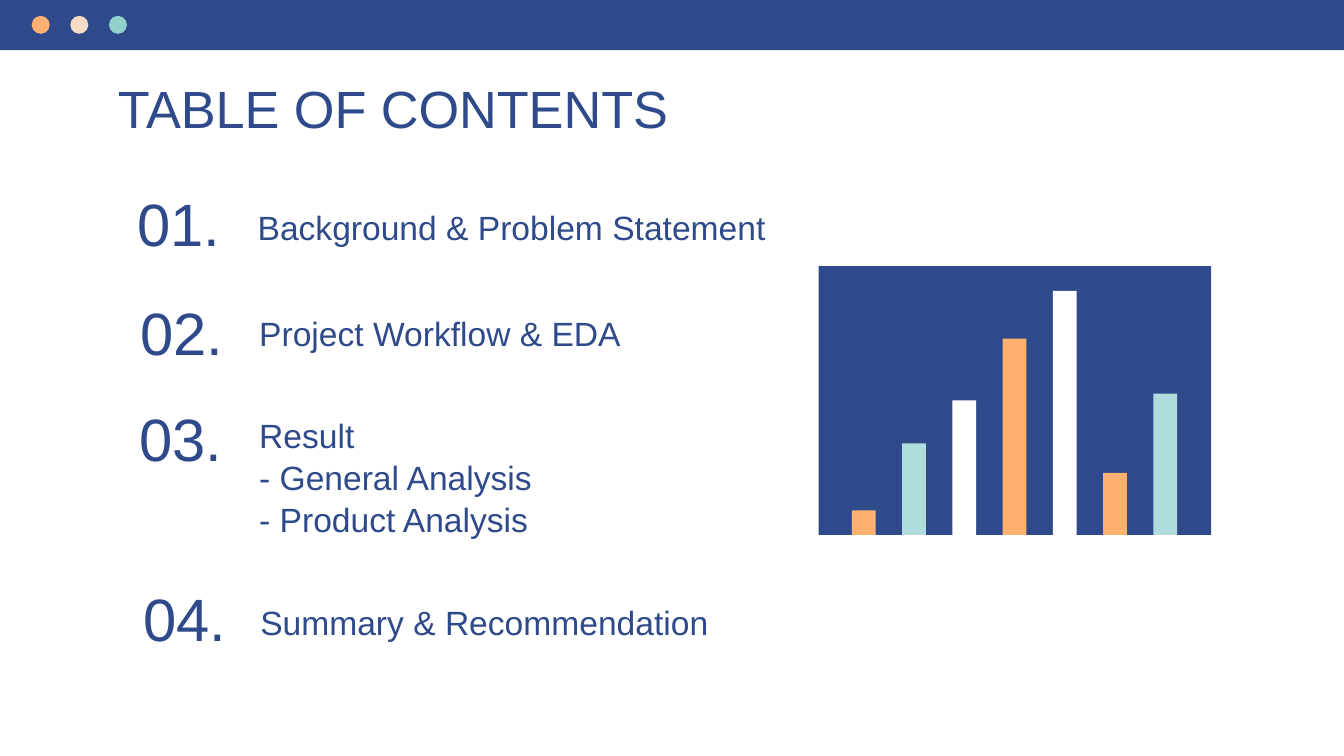
from pptx import Presentation
from pptx import util as u
from pptx.dml.color import RGBColor
from pptx.enum import shapes, text

NAVY, ORANGE, CREAM = "2F4A8A", "FFB172", "F8DBC4"
TEAL, AQUA, WHITE = "90D1CB", "AFDCDD", "FFFFFF"
RECT = shapes.MSO_SHAPE.RECTANGLE
OVAL = shapes.MSO_SHAPE.OVAL
LEFT, MID = text.PP_ALIGN.LEFT, text.PP_ALIGN.CENTER
TOP, BASE = text.MSO_ANCHOR.TOP, text.MSO_ANCHOR.BOTTOM

# number left and top; entry left, top, width and height; lines (all cm)
ITEMS = [
    ("01.", 2.13, 3.51, (4.62, 3.66, 13.16, 1.3),
     ["Background & Problem Statement"]),
    ("02.", 2.18, 5.56, (4.65, 5.66, 10.52, 1.3),
     ["Project Workflow & EDA"]),
    ("03.", 2.16, 7.57, (4.65, 7.57, 8.81, 3.4),
     ["Result", "- General Analysis", "- Product Analysis"]),
    ("04.", 2.24, 10.97, (4.67, 11.13, 10.24, 1.3),
     ["Summary & Recommendation"]),
]
BARS = [(0.46, ORANGE), (1.73, AQUA), (2.54, WHITE), (3.71, ORANGE),
        (4.61, WHITE), (1.17, ORANGE), (2.67, AQUA)]


def color(code):
    return RGBColor.from_string(code)


def place(shape, box):
    shape.left, shape.top, shape.width, shape.height = map(u.Cm, box)


def write(shape, lines, size, align=LEFT, anchor=TOP):
    """Fill a text shape with one paragraph, its lines split by breaks."""
    frame = shape.text_frame
    frame.word_wrap = True
    frame.auto_size = text.MSO_AUTO_SIZE.NONE
    frame.vertical_anchor = anchor
    frame.margin_left = frame.margin_right = u.Cm(0.25)
    frame.margin_top = frame.margin_bottom = u.Cm(0.25)
    para = frame.paragraphs[0]
    para.alignment = align
    if len(lines) > 1:
        para.line_spacing = 1.04
    for i, line in enumerate(lines):
        if i:
            para.add_line_break()
        run = para.add_run()
        run.text = line
        run.font.name = "Arial"
        run.font.size = u.Pt(size)
        run.font.color.rgb = color(NAVY)


def label(slide, box, *style):
    write(slide.shapes.add_textbox(*map(u.Cm, box)), *style)


def block(group, kind, box, fill):
    shape = group.shapes.add_shape(kind, *map(u.Cm, box))
    shape.shadow.inherit = False
    shape.fill.solid()
    shape.fill.fore_color.rgb = color(fill)
    shape.line.fill.background()


def header(slide):
    group = slide.shapes.add_group_shape()
    block(group, RECT, (0, 0, 25.4, 0.95), NAVY)
    for i, fill in enumerate([ORANGE, CREAM, TEAL]):
        block(group, OVAL, (0.6 + 0.73 * i, 0.3, 0.34, 0.34), fill)


def graph(slide):
    """Draw the decorative bars, all standing on the panel's lower edge."""
    group = slide.shapes.add_group_shape()
    top, tall = 5.03, 5.08
    block(group, RECT, (15.47, top, 7.42, tall), NAVY)
    for i, (high, fill) in enumerate(BARS):
        block(group, RECT,
              (16.1 + 0.95 * i, top + tall - high, 0.45, high), fill)


def main():
    deck = Presentation()
    deck.slide_width, deck.slide_height = u.Cm(25.4), u.Cm(14.29)
    slide = deck.slides.add_slide(deck.slide_layouts[5])
    title = slide.shapes.title
    place(title, (1.98, 1.19, 21.44, 1.3))
    write(title, ["TABLE OF CONTENTS"], 28)
    for num, left, top, box, lines in ITEMS:
        label(slide, box, lines, 18)
        label(slide, (left, top, 2.51, 1.63), [num], 32, MID, BASE)
    header(slide)
    graph(slide)
    deck.save("out.pptx")


if __name__ == "__main__":
    main()
